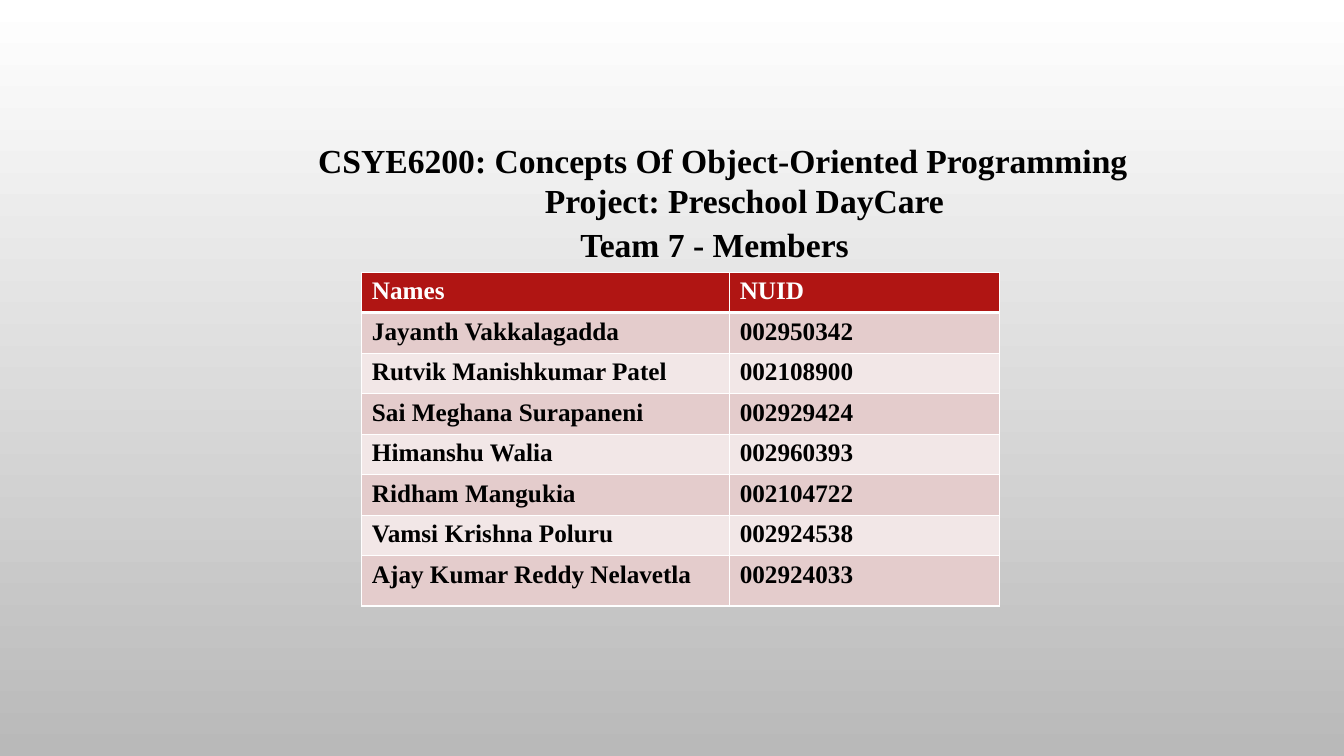
from typing import NamedTuple

from lxml import etree
from pptx import Presentation
from pptx import util as u
from pptx.dml.color import RGBColor
from pptx.oxml import ns

FONT = "Times New Roman"
WHITE = RGBColor(0xFF, 0xFF, 0xFF)
BLACK = RGBColor(0, 0, 0)
GRAY = RGBColor(0xB9, 0xB9, 0xB9)
RED = RGBColor(0xB0, 0x15, 0x13)
ROSE = RGBColor(0xE4, 0xCC, 0xCC)
PALE = RGBColor(0xF2, 0xE7, 0xE7)
THIN, THICK = u.Pt(0.9), u.Pt(2.7)


class Line(NamedTuple):
    words: str
    indent: float = 0


class Title(NamedTuple):
    left: float
    top: float
    width: float
    height: float
    lines: list[Line]


class Member(NamedTuple):
    name: str
    nuid: str


TITLES = [
    Title(7.77, 3.4, 21.64, 2.31, [
        Line("CSYE6200: Concepts Of Object-Oriented Programming"),
        Line("Project: Preschool DayCare", 5.71),
    ]),
    Title(14.38, 5.51, 8.36, 1.27, [Line("Team 7 - Members")]),
]
HEADER = Member("Names", "NUID")
MEMBERS = [
    Member("Jayanth Vakkalagadda", "002950342"),
    Member("Rutvik Manishkumar Patel", "002108900"),
    Member("Sai Meghana Surapaneni", "002929424"),
    Member("Himanshu Walia", "002960393"),
    Member("Ridham Mangukia", "002104722"),
    Member("Vamsi Krishna Poluru", "002924538"),
    Member("Ajay Kumar Reddy Nelavetla", "002924033"),
]
COLS = (9.27, 6.8)
ROW, LAST = 1.02, 1.27


def style(para, size: float, color: RGBColor) -> None:
    for run in para.runs:
        run.font.name = FONT
        run.font.size = u.Pt(size)
        run.font.bold = True
        run.font.color.rgb = color


def add_title(slide, title: Title) -> None:
    box = slide.shapes.add_textbox(*(u.Cm(n) for n in title[:4]))
    frame = box.text_frame
    frame.word_wrap = True
    frame.text = "\n".join(line.words for line in title.lines)
    for para, line in zip(frame.paragraphs, title.lines):
        style(para, 24, BLACK)
        if line.indent:
            para._p.get_or_add_pPr().set("marL", str(u.Cm(line.indent)))


def add_edge(cell, side: str, width: int) -> None:
    props = cell._tc.get_or_add_tcPr()
    edge = etree.SubElement(props, ns.qn(f"a:ln{side}"), w=str(width))
    fill = etree.SubElement(edge, ns.qn("a:solidFill"))
    etree.SubElement(fill, ns.qn("a:srgbClr"), val=str(WHITE))


def fill_cell(cell, words: str, row: int) -> None:
    # Borders come before the fill in the cell properties
    edges = {"L": THIN, "R": THIN,
             "T": THICK if row == 1 else THIN,
             "B": THICK if row == 0 else THIN}
    for side, width in edges.items():
        add_edge(cell, side, width)
    cell.fill.solid()
    cell.fill.fore_color.rgb = RED if row == 0 else ROSE if row % 2 else PALE
    cell.text_frame.text = words
    style(cell.text_frame.paragraphs[0], 18, BLACK if row else WHITE)


def add_roster(slide, left: float, top: float) -> None:
    rows = [HEADER, *MEMBERS]
    height = ROW * len(MEMBERS) + LAST
    table = slide.shapes.add_table(
        len(rows), len(COLS), u.Cm(left), u.Cm(top),
        u.Cm(sum(COLS)), u.Cm(height)).table
    for col, width in zip(table.columns, COLS):
        col.width = u.Cm(width)
    for i, member in enumerate(rows):
        table.rows[i].height = u.Cm(LAST if i == len(MEMBERS) else ROW)
        for j, words in enumerate(member):
            fill_cell(table.cell(i, j), words, i)


def main() -> None:
    deck = Presentation()
    deck.slide_width, deck.slide_height = u.Cm(33.87), u.Cm(19.05)
    slide = deck.slides.add_slide(deck.slide_layouts[6])

    # Background, white at the top to gray at the bottom
    back = slide.background.fill
    back.gradient()
    back.gradient_angle = 270
    for stop, color, place in zip(back.gradient_stops, (WHITE, GRAY), (0, 1)):
        stop.color.rgb = color
        stop.position = place

    # Headings
    for title in TITLES:
        add_title(slide, title)

    # Team table
    add_roster(slide, 9.12, 6.86)

    deck.save("out.pptx")


if __name__ == "__main__":
    main()
